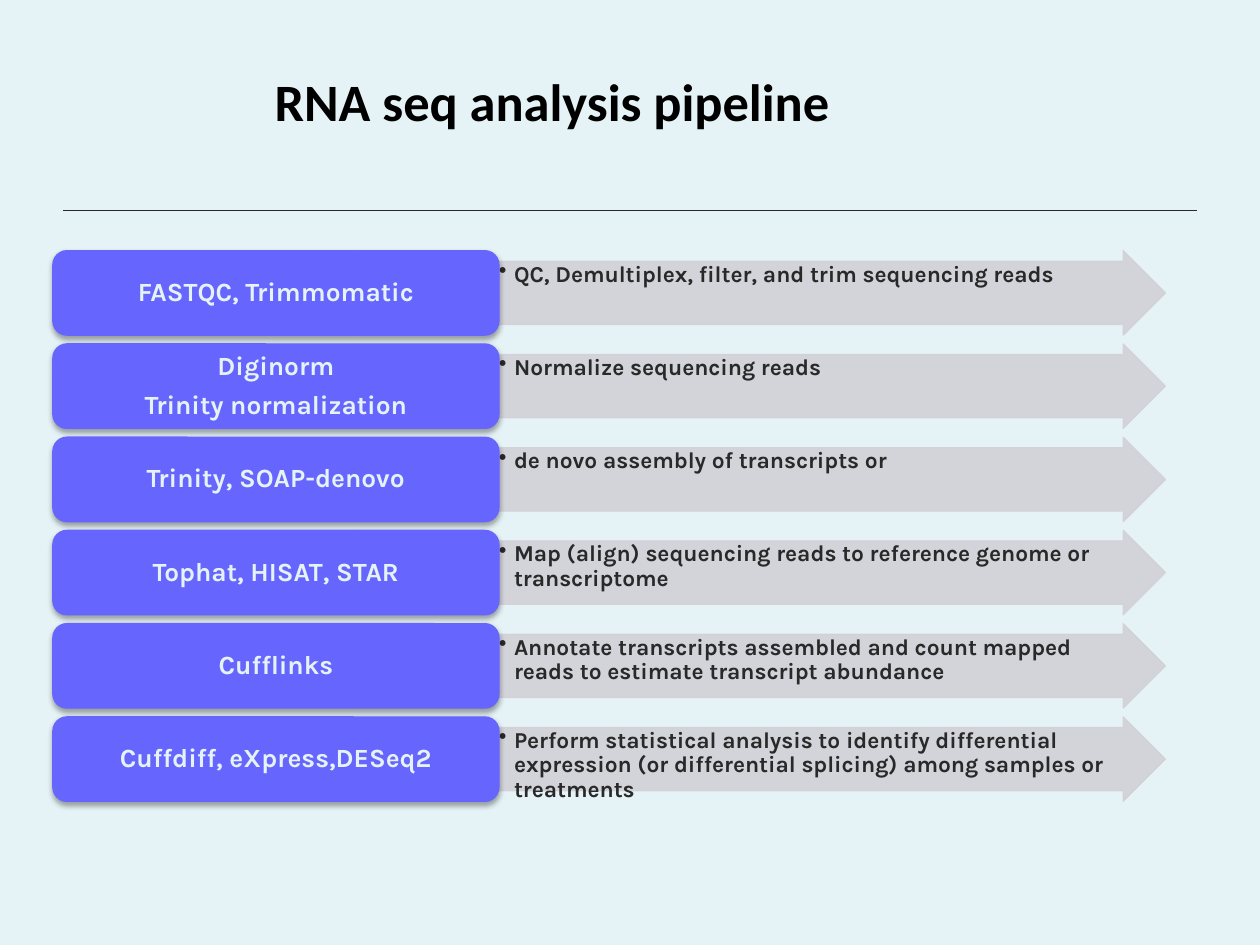
"""Build the RNA seq analysis pipeline slide: one row of tools and purpose per step."""
from lxml import etree
from pptx import Presentation
from pptx.dml.color import RGBColor
from pptx.enum.shapes import MSO_CONNECTOR, MSO_SHAPE
from pptx.enum.text import MSO_ANCHOR, MSO_AUTO_SIZE, PP_ALIGN
from pptx.oxml.ns import qn
from pptx.util import Inches, Pt

STRAIGHT = MSO_CONNECTOR.STRAIGHT
ARROW, ROUNDED = MSO_SHAPE.RIGHT_ARROW, MSO_SHAPE.ROUNDED_RECTANGLE
LEFT, CENTER = PP_ALIGN.LEFT, PP_ALIGN.CENTER
TOP, MIDDLE = MSO_ANCHOR.TOP, MSO_ANCHOR.MIDDLE

TITLE = "RNA seq analysis pipeline"
STEPS = [
    ("FASTQC, Trimmomatic", "QC, Demultiplex, filter, and trim sequencing reads"),
    ("Diginorm\nTrinity normalization", "Normalize sequencing reads"),
    ("Trinity, SOAP-denovo", "de novo assembly of transcripts or"),
    ("Tophat, HISAT, STAR",
     "Map (align) sequencing reads to reference genome or transcriptome"),
    ("Cufflinks",
     "Annotate transcripts assembled and count mapped reads to estimate "
     "transcript abundance"),
    ("Cuffdiff, eXpress,DESeq2",
     "Perform statistical analysis to identify differential expression "
     "(or differential splicing) among samples or treatments"),
]
COLORS = {"background": "E6F3F6", "title": "000000", "dark": "292929",
          "arrow": "D2D1D7", "box": "6666FF"}
WIDTH, HEIGHT, MARGIN = 10, 7.5, 0.5
BOX_LEFT, BOX_WIDTH = 0.42, 3.54
ARROW_LEFT, ARROW_WIDTH = 3.95, 5.3
FIRST_TOP, ROW_PITCH, ROW_HEIGHT = 1.99, 0.74, 0.67
INDENT = 0.12


def color(name):
    return RGBColor.from_string(COLORS[name])


def add_element(parent, tag, **attributes):
    return etree.SubElement(parent, qn(tag), attributes)


def add_panel(slide, kind, left, top, width, fill):
    shape = slide.shapes.add_shape(
        kind, Inches(left), Inches(top), Inches(width), Inches(ROW_HEIGHT))
    shape.shadow.inherit = False
    shape.fill.solid()
    shape.fill.fore_color.rgb = color(fill)
    shape.line.color.rgb = color(fill)
    shape.line.width = Pt(0.75)
    return shape


def set_text(shape, text, size, text_color, align, anchor, insets, space_after):
    frame = shape.text_frame
    frame.text = text
    frame.word_wrap = True
    frame.vertical_anchor = anchor
    (frame.margin_left, frame.margin_top,
     frame.margin_right, frame.margin_bottom) = map(Inches, insets)
    for paragraph in frame.paragraphs:
        paragraph.alignment = align
        paragraph.line_spacing = 0.9
        paragraph.space_after = Pt(space_after)
        for run in paragraph.runs:
            run.font.name = "Karla"
            run.font.size = Pt(size)
            run.font.bold = True
            run.font.color.rgb = color(text_color)


def add_purpose(slide, top, text):
    arrow = add_panel(slide, ARROW, ARROW_LEFT, top, ARROW_WIDTH, "arrow")
    arrow.adjustments[0], arrow.adjustments[1] = 0.75, 0.5
    for fill_color in arrow.element.spPr.iter(qn("a:srgbClr")):
        add_element(fill_color, "a:alpha", val="90000")
    set_text(arrow, text, 13, "dark", LEFT, TOP, (0.01, 0.01, 0.18, 0.01), 2)
    properties = arrow.text_frame.paragraphs[0]._p.get_or_add_pPr()
    properties.set("marL", str(Inches(INDENT)))
    properties.set("indent", str(-Inches(INDENT)))
    add_element(properties, "a:buChar", char="•")


def add_tools(slide, top, text):
    box = add_panel(slide, ROUNDED, BOX_LEFT, top, BOX_WIDTH, "box")
    effects = box.element.spPr.find(qn("a:effectLst"))
    shadow = add_element(effects, "a:outerShdw", blurRad=str(Pt(3.1)),
                         dist=str(Pt(1.8)), dir="5400000", rotWithShape="0")
    shade = add_element(shadow, "a:srgbClr", val="000000")
    add_element(shade, "a:alpha", val="35000")
    set_text(box, text, 15, "background", CENTER, MIDDLE, (0.06, 0.03, 0.06, 0.03), 6)


def add_title(slide):
    title = slide.shapes.title
    title.left, title.top = Inches(2.08), Inches(0.5)
    title.width, title.height = Inches(4.66), Inches(0.61)
    frame = title.text_frame
    frame.text = TITLE
    frame.word_wrap = False
    frame.auto_size = MSO_AUTO_SIZE.SHAPE_TO_FIT_TEXT
    frame.vertical_anchor = TOP
    paragraph = frame.paragraphs[0]
    paragraph.alignment = LEFT
    font = paragraph.runs[0].font
    font.name, font.size, font.bold = "Calibri", Pt(30), True
    font.color.rgb = color("title")


def add_rule(slide):
    rule = slide.shapes.add_connector(
        STRAIGHT, Inches(MARGIN), Inches(1.67), Inches(WIDTH - MARGIN), Inches(1.67))
    rule.line.color.rgb = color("dark")
    rule.line.width = Pt(0.75)
    add_element(rule.element.spPr, "a:effectLst")


def main():
    presentation = Presentation()
    presentation.slide_width, presentation.slide_height = Inches(WIDTH), Inches(HEIGHT)
    slide = presentation.slides.add_slide(presentation.slide_layouts[5])
    slide.background.fill.solid()
    slide.background.fill.fore_color.rgb = color("background")
    add_rule(slide)
    add_title(slide)
    for row, (tools, purpose) in enumerate(STEPS):
        top = FIRST_TOP + row * ROW_PITCH
        add_purpose(slide, top, purpose)
        add_tools(slide, top, tools)
    presentation.save("out.pptx")


if __name__ == "__main__":
    main()
